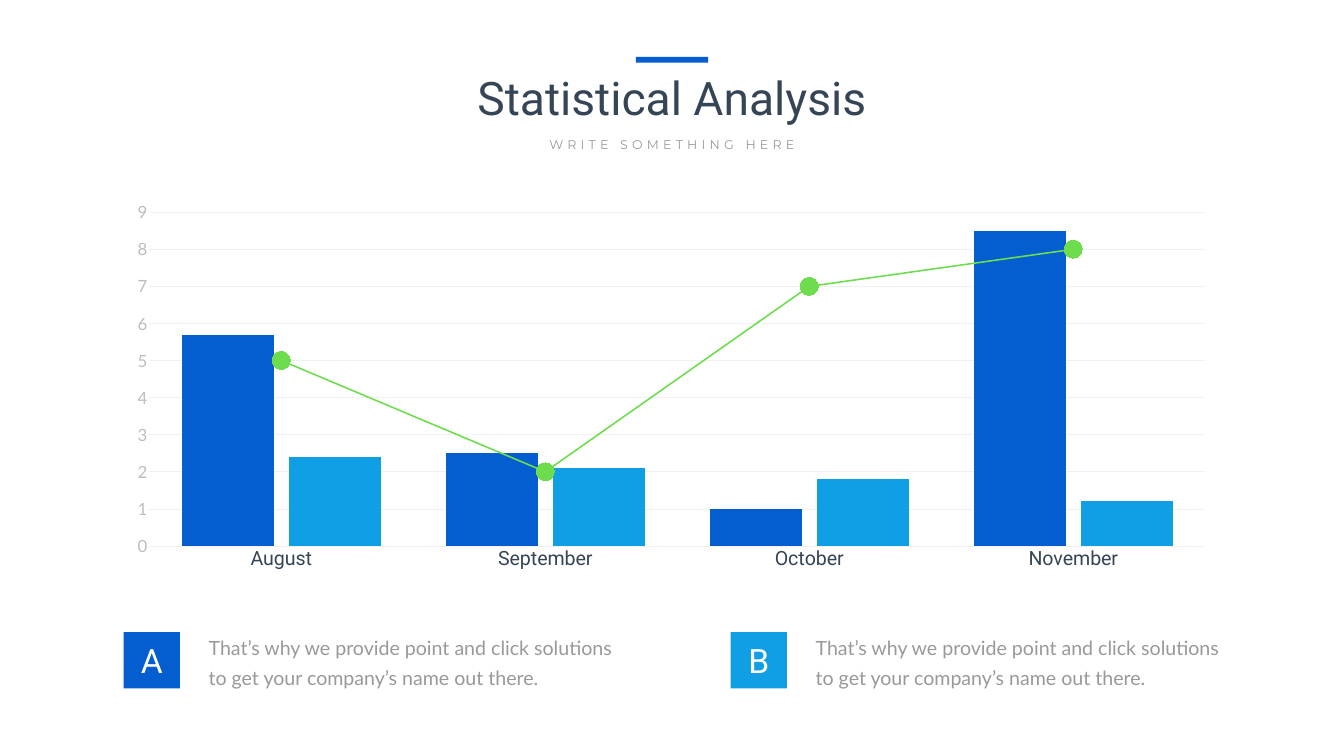
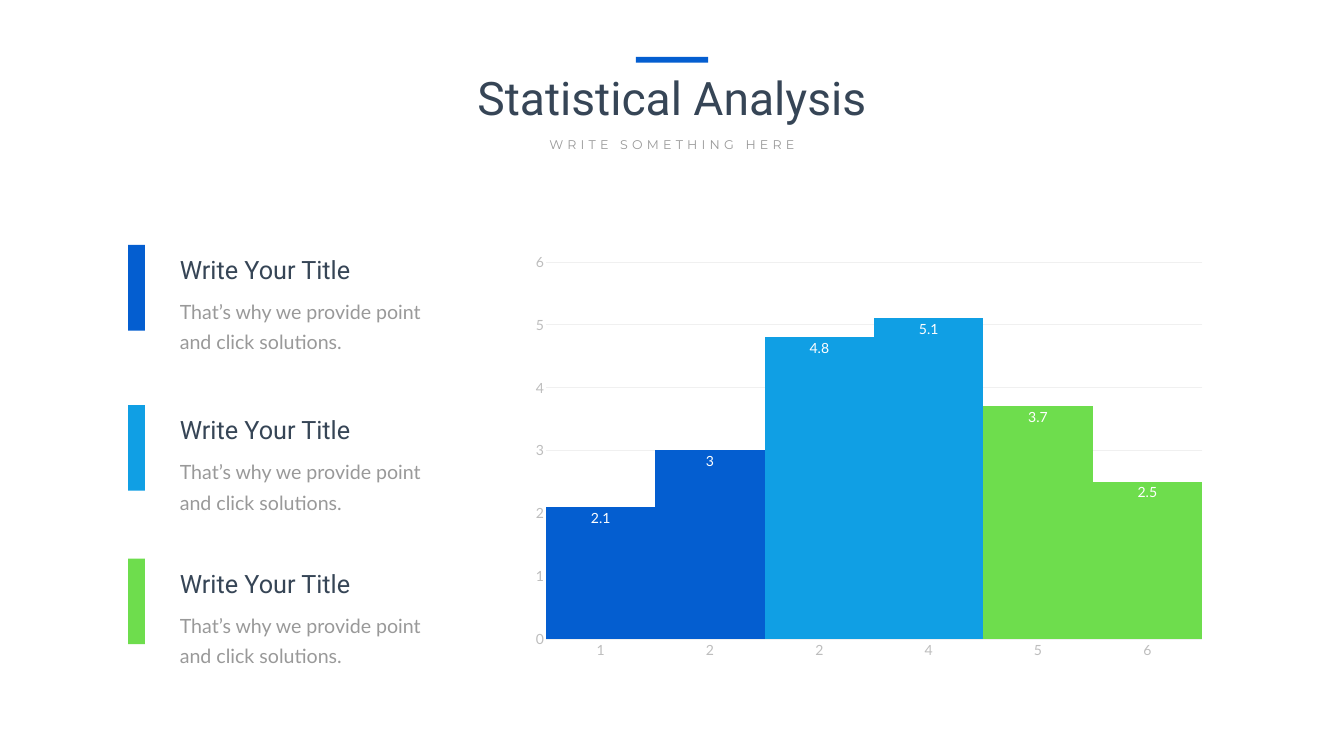
from dataclasses import dataclass

from lxml.etree import SubElement
from pptx import Presentation
from pptx.chart.data import CategoryChartData
from pptx.dml.color import RGBColor
from pptx.enum.chart import XL_CHART_TYPE, XL_LABEL_POSITION, XL_MARKER_STYLE, XL_TICK_MARK
from pptx.enum.shapes import MSO_SHAPE
from pptx.enum.text import MSO_AUTO_SIZE, PP_ALIGN
from pptx.oxml import parse_xml
from pptx.oxml.ns import nsdecls, qn
from pptx.util import Pt


@dataclass(frozen=True)
class Style:
    font: str
    size: int
    color: str


@dataclass(frozen=True)
class Theme:
    white: str = "FFFFFF"
    blue: str = "045ED0"
    sky: str = "109FE4"
    green: str = "6EDD4D"
    grid: str = "F0F0F0"
    title: Style = Style("Roboto", 66, "364556")
    subtitle: Style = Style("Montserrat", 18, "999999")
    heading: Style = Style("Roboto", 36, "364556")
    letter: Style = Style("Roboto", 48, "FFFFFF")
    body: Style = Style("Lato", 28, "999999")
    chart: Style = Style("Lato", 20, "999999")
    months: Style = Style("Roboto", 28, "364556")
    scale: Style = Style("Lato", 24, "BDBDBD")
    small_scale: Style = Style("Lato", 20, "BDBDBD")
    value: Style = Style("Lato", 20, "FFFFFF")
    body_leading: int = 43


THEME = Theme()

# Content
TITLE = "Statistical Analysis"
SUBTITLE = "WRITE SOMETHING HERE"

MONTHS = ["August", "September", "October", "November"]
MONTH_SERIES = [
    ("Series 1", [5.7, 2.5, 1, 8.5], THEME.blue),
    ("Series 2", [2.4, 2.1, 1.8, 1.2], THEME.sky),
    ("Series 3", [5, 2, 7, 8], THEME.green),
]
KEY_TEXT = "That’s why we provide point and click solutions to get your company’s name out there."
KEYS = [("A", THEME.blue, KEY_TEXT), ("B", THEME.sky, KEY_TEXT)]

STEPS = ["1", "2", "2", "4", "5", "6"]
STEP_VALUES = [2.1, 3, 4.8, 5.1, 3.7, 2.5]
STEP_COLORS = [THEME.blue, THEME.blue, THEME.sky, THEME.sky, THEME.green, THEME.green]
NOTE_TITLE = "Write Your Title"
NOTE_TEXT = "That’s why we provide point and click solutions."
NOTES = [  # top, colour, title, text
    (350, THEME.blue, NOTE_TITLE, NOTE_TEXT),
    (578.7, THEME.sky, NOTE_TITLE, NOTE_TEXT),
    (798, THEME.green, NOTE_TITLE, NOTE_TEXT),
]

# Geometry in points
PAGE_WIDTH, PAGE_HEIGHT = 1919.5, 1080
MONTH_CHART = (165.6, 278, 1587.6, 548)
MONTH_PLOT = (0.03, 0.046, 0.95, 0.87)
STEP_CHART = (745.2, 350, 991.5, 602.5)
STEP_PLOT = (0.035, 0.04, 0.945, 0.894)
KEY_LEFT, KEY_TOP, KEY_SIZE, KEY_PITCH = 176.4, 903, 80.6, 867
NOTE_LEFT, NOTE_TEXT_LEFT = 183, 249.8


# Shared helpers
def rgb(color):
    return RGBColor.from_string(color)


def apply_style(font, style):
    font.name = style.font
    font.size = Pt(style.size)
    font.color.rgb = rgb(style.color)


def add_block(page, left, top, width, height, color):
    block = page.shapes.add_shape(
        MSO_SHAPE.RECTANGLE, Pt(left), Pt(top), Pt(width), Pt(height))
    block.shadow.inherit = False
    block.fill.solid()
    block.fill.fore_color.rgb = rgb(color)
    block.line.fill.background()


def add_text(page, left, top, width, height, text, style,
             align=PP_ALIGN.LEFT, leading=None, tracking=None):
    box = page.shapes.add_textbox(Pt(left), Pt(top), Pt(width), Pt(height))
    frame = box.text_frame
    frame.word_wrap = True
    frame.auto_size = MSO_AUTO_SIZE.SHAPE_TO_FIT_TEXT
    para = frame.paragraphs[0]
    para.alignment = align
    if leading:
        para.line_spacing = Pt(leading)
    span = para.add_run()
    span.text = text
    apply_style(span.font, style)
    if tracking:
        span.font._element.set("spc", str(tracking * 100))


def add_page(deck):
    """Add a page with the accent bar, title and subtitle centred at the top."""
    page = deck.slides.add_slide(deck.slide_layouts[6])
    page.background.fill.solid()
    page.background.fill.fore_color.rgb = rgb(THEME.white)

    def centred(width):
        return (PAGE_WIDTH - width) / 2

    add_text(page, centred(806), 95, 806, 87, TITLE, THEME.title, PP_ALIGN.CENTER)
    add_text(page, centred(429), 191.5, 429, 29, SUBTITLE, THEME.subtitle,
             PP_ALIGN.CENTER, tracking=6)
    add_block(page, centred(103), 81.4, 103, 8, THEME.blue)
    return page


def set_plot_area(chart, fractions):
    """Fix the inner plot area as fractions of the chart: x, y, width, height."""
    area = chart._chartSpace.chart.plotArea
    for old in area.findall(qn("c:layout")):
        area.remove(old)
    layout = parse_xml(f"<c:layout {nsdecls('c')}><c:manualLayout/></c:layout>")
    settings = [("layoutTarget", "inner"), ("xMode", "edge"), ("yMode", "edge")]
    settings += zip("xywh", fractions)
    for name, value in settings:
        SubElement(layout[0], qn(f"c:{name}")).set("val", str(value))
    area.insert(0, layout)


def add_column_chart(page, place, plot_area, categories, series, top_value,
                     gap, overlap, category_style, value_style):
    data = CategoryChartData()
    data.categories = categories
    for name, values, _ in series:
        data.add_series(name, values)
    chart = page.shapes.add_chart(
        XL_CHART_TYPE.COLUMN_CLUSTERED, *map(Pt, place), data).chart
    chart.has_title = False
    chart.has_legend = False
    apply_style(chart.font, THEME.chart)
    set_plot_area(chart, plot_area)

    plot = chart.plots[0]
    plot.vary_by_categories = False
    plot.gap_width = gap
    plot.overlap = overlap
    for bars, (_, _, color) in zip(plot.series, series):
        bars.format.fill.solid()
        bars.format.fill.fore_color.rgb = rgb(color)

    for axis, style in ((chart.category_axis, category_style),
                        (chart.value_axis, value_style)):
        axis.major_tick_mark = axis.minor_tick_mark = XL_TICK_MARK.NONE
        apply_style(axis.tick_labels.font, style)
    scale = chart.value_axis
    scale.minimum_scale, scale.maximum_scale, scale.major_unit = 0, top_value, 1
    scale.format.line.fill.background()
    scale.has_major_gridlines = True
    for line in (chart.category_axis.format.line, scale.major_gridlines.format.line):
        line.color.rgb = rgb(THEME.grid)
        line.width = Pt(0.75)
    return chart


def turn_last_series_into_line(chart, color):
    bars = chart._chartSpace.chart.plotArea.find(qn("c:barChart"))
    series = bars.findall(qn("c:ser"))[-1]
    for tag in ("c:invertIfNegative", "c:spPr"):
        for part in series.findall(qn(tag)):
            series.remove(part)
    lines = parse_xml(
        f'<c:lineChart {nsdecls("c")}><c:grouping val="standard"/>'
        '<c:varyColors val="0"/></c:lineChart>')
    lines.append(series)
    SubElement(lines, qn("c:marker")).set("val", "1")
    for axis in bars.findall(qn("c:axId")):
        SubElement(lines, qn("c:axId")).set("val", axis.get("val"))
    bars.addnext(lines)

    trend = chart.plots[1].series[0]
    trend.smooth = False
    trend.format.line.color.rgb = rgb(color)
    trend.format.line.width = Pt(2.25)
    trend.marker.style = XL_MARKER_STYLE.CIRCLE
    trend.marker.size = 25
    trend.marker.format.fill.solid()
    trend.marker.format.fill.fore_color.rgb = rgb(color)
    trend.marker.format.line.fill.background()


# Pages
def build_month_page(deck):
    page = add_page(deck)
    chart = add_column_chart(page, MONTH_CHART, MONTH_PLOT, MONTHS, MONTH_SERIES,
                             9, 71, -16, THEME.months, THEME.scale)
    turn_last_series_into_line(chart, THEME.green)

    # Lettered keys under the chart
    for index, (letter, color, text) in enumerate(KEYS):
        left = KEY_LEFT + index * KEY_PITCH
        add_block(page, left, KEY_TOP, KEY_SIZE, KEY_SIZE, color)
        add_text(page, left + 8.3, KEY_TOP + 7.2, 64, 65.5, letter, THEME.letter,
                 PP_ALIGN.CENTER)
        add_text(page, left + 114.5, KEY_TOP - 8, 607.7, 90, text, THEME.body,
                 leading=THEME.body_leading)


def build_step_page(deck):
    page = add_page(deck)

    # Notes marked by colour bars
    for top, color, title, text in NOTES:
        add_block(page, NOTE_LEFT, top, 23.8, 122.4, color)
        add_text(page, NOTE_TEXT_LEFT, top + 66, 362.2, 89.3, text, THEME.body,
                 leading=THEME.body_leading)
        add_text(page, NOTE_TEXT_LEFT, top + 10, 317.5, 51, title, THEME.heading)

    # Stepped columns coloured in pairs
    chart = add_column_chart(page, STEP_CHART, STEP_PLOT, STEPS,
                             [("Series 1", STEP_VALUES, THEME.blue)],
                             6, 0, -50, THEME.small_scale, THEME.small_scale)
    columns = chart.plots[0].series[0]
    for index, color in enumerate(STEP_COLORS):
        fill = columns.points[index].format.fill
        fill.solid()
        fill.fore_color.rgb = rgb(color)
    labels = columns.data_labels
    labels.show_value = True
    labels.position = XL_LABEL_POSITION.INSIDE_END
    apply_style(labels.font, THEME.value)


def main():
    deck = Presentation()
    deck.slide_width, deck.slide_height = Pt(PAGE_WIDTH), Pt(PAGE_HEIGHT)
    build_month_page(deck)
    build_step_page(deck)
    deck.save("out.pptx")


if __name__ == "__main__":
    main()
